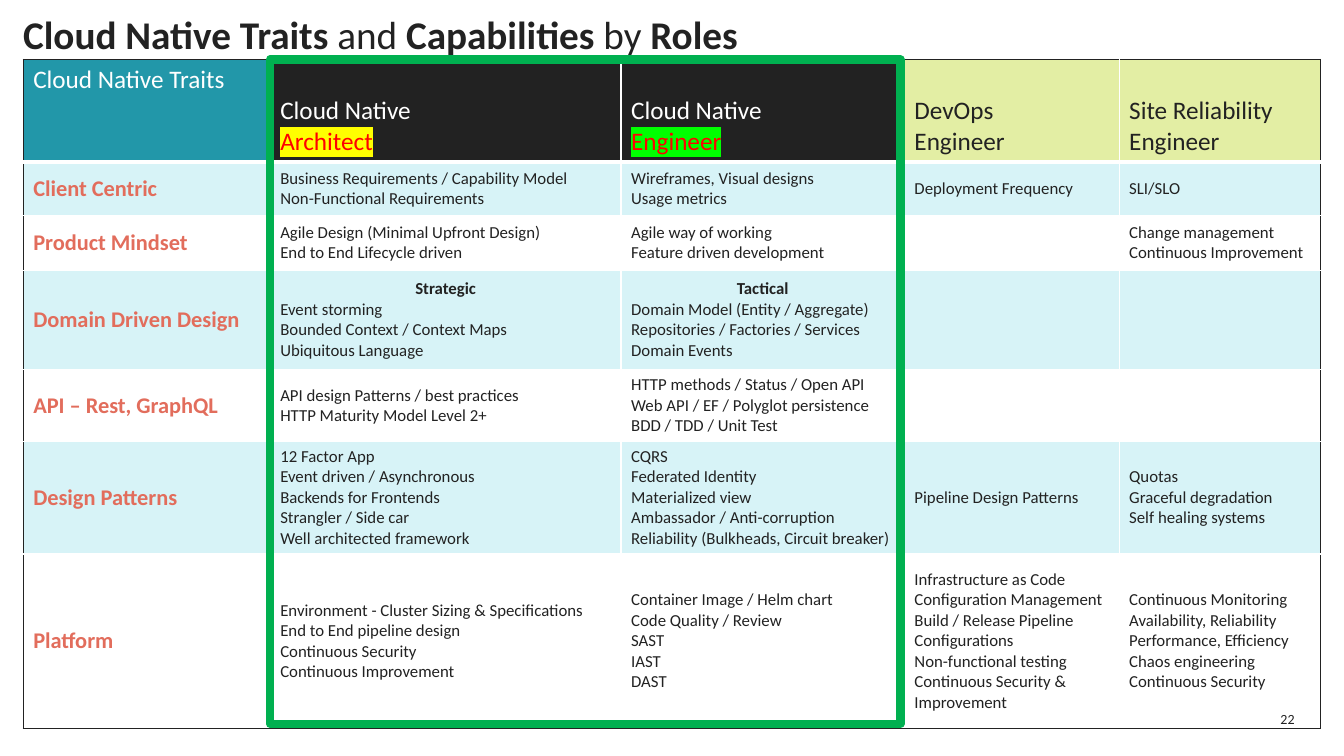
import pptx
import pptx.dml.color
import pptx.enum.shapes
import pptx.enum.text
import pptx.oxml.ns
import pptx.util
from lxml import etree
from pptx.util import Inches

TITLE = [("Cloud Native Traits ", True), ("and", False), (" Capabilities ", True),
         ("by", False), (" Roles", True)]
PAGE_NUMBER = "22"
CORNER = "Cloud Native Traits"
ROLES = [["Cloud Native", "Architect"], ["Cloud Native", "Engineer"],
         ["DevOps", "Engineer"], ["Site Reliability", "Engineer"]]
TRAITS = [
    ("Client Centric", [
        ["Business Requirements / Capability Model", "Non-Functional Requirements"],
        ["Wireframes, Visual designs", "Usage metrics"],
        ["Deployment Frequency"],
        ["SLI/SLO"]]),
    ("Product Mindset", [
        ["Agile Design (Minimal Upfront Design)", "End to End Lifecycle driven"],
        ["Agile way of working", "Feature driven development"],
        [],
        ["Change management", "Continuous Improvement"]]),
    ("Domain Driven Design", [
        ["Strategic", "Event storming", "Bounded Context / Context Maps",
         "Ubiquitous Language"],
        ["Tactical", "Domain Model (Entity / Aggregate)",
         "Repositories / Factories / Services", "Domain Events"],
        [],
        []]),
    ("API – Rest, GraphQL", [
        ["API design Patterns / best practices", "HTTP Maturity Model Level 2+"],
        ["HTTP methods / Status / Open API", "Web API / EF / Polyglot persistence",
         "BDD / TDD / Unit Test"],
        [],
        []]),
    ("Design Patterns", [
        ["12 Factor App", "Event driven / Asynchronous", "Backends for Frontends",
         "Strangler / Side car", "Well architected framework"],
        ["CQRS", "Federated Identity", "Materialized view",
         "Ambassador / Anti-corruption", "Reliability (Bulkheads, Circuit breaker)"],
        ["Pipeline Design Patterns"],
        ["Quotas", "Graceful degradation", "Self healing systems"]]),
    ("Platform", [
        ["Environment - Cluster Sizing & Specifications", "End to End pipeline design",
         "Continuous Security", "Continuous Improvement"],
        ["Container Image / Helm chart", "Code Quality / Review", "SAST", "IAST", "DAST"],
        ["Infrastructure as Code", "Configuration Management", "Build / Release Pipeline",
         "Configurations", "Non-functional testing", "Continuous Security & Improvement"],
        ["Continuous Monitoring", "Availability, Reliability", "Performance, Efficiency",
         "Chaos engineering", "Continuous Security"]]),
]
SUBHEADINGS = ("Strategic", "Tactical")
COLUMN_WIDTHS = [2.45, 3.48, 2.81, 2.13, 2.0]
ROW_HEIGHTS = [1.02, 0.53, 0.54, 0.99, 0.71, 1.11, 1.73]
TABLE_LEFT, TABLE_TOP = 0.23, 0.59
FRAME_HEIGHT = 6.59


class Theme:
    font = "Calibri"
    ink, white, coral = "222222", "FFFFFF", "E26D5C"
    teal, pale_blue, lime = "2297A9", "D7F3F7", "E3EEA4"
    red, frame = "FF0000", "00B050"
    highlights = {1: "FFFF00", 2: "00FF00"}
    title_size, header_size, trait_size, body_size, page_size = 28, 18, 16, 12, 10


ALIGN = pptx.enum.text.PP_ALIGN
ANCHOR = pptx.enum.text.MSO_ANCHOR


def rgb(value):
    return pptx.dml.color.RGBColor.from_string(value)


def add_span(para, text, size, color=Theme.ink, bold=False, highlight=None):
    span = para.add_run()
    span.text = text
    span.font.name = Theme.font
    span.font.size = pptx.util.Pt(size)
    span.font.bold = bold
    span.font.color.rgb = rgb(color)
    if highlight:
        marker = etree.Element(pptx.oxml.ns.qn("a:highlight"))
        etree.SubElement(marker, pptx.oxml.ns.qn("a:srgbClr"), val=highlight)
        span.font.fill  # the highlight has to follow the fill element
        span._r.rPr.find(pptx.oxml.ns.qn("a:solidFill")).addnext(marker)


def paragraphs(frame, lines):
    """Yield each line with its paragraph, reusing the first one of the frame."""
    for index, line in enumerate(lines):
        yield line, frame.add_paragraph() if index else frame.paragraphs[0]


def clear_margins(frame):
    frame.margin_left = frame.margin_right = frame.margin_top = frame.margin_bottom = 0
    frame.word_wrap = True
    frame.vertical_anchor = ANCHOR.MIDDLE


def set_borders(cell, row, column):
    """Dark lines around the table, white lines inside, a thick one below the header."""
    last_row, last_column = len(ROW_HEIGHTS) - 1, len(COLUMN_WIDTHS) - 1
    outer = {"lnL": column == 0, "lnR": column == last_column,
             "lnT": row == 0, "lnB": row == last_row}
    properties = cell._tc.get_or_add_tcPr()
    for position, (side, is_outer) in enumerate(outer.items()):
        points = 3 if side == "lnB" and row == 0 else 1
        line = etree.Element(pptx.oxml.ns.qn("a:" + side), w=str(pptx.util.Pt(points)))
        fill = etree.SubElement(line, pptx.oxml.ns.qn("a:solidFill"))
        etree.SubElement(fill, pptx.oxml.ns.qn("a:srgbClr"),
                         val=Theme.ink if is_outer else Theme.white)
        properties.insert(position, line)


def set_fill(cell, color):
    cell.fill.solid()
    cell.fill.fore_color.rgb = rgb(color)


def fill_header(table):
    corner = table.cell(0, 0)
    set_fill(corner, Theme.teal)
    add_span(corner.text_frame.paragraphs[0], CORNER, Theme.header_size, Theme.white)
    for column, role in enumerate(ROLES, 1):
        cell = table.cell(0, column)
        cell.vertical_anchor = ANCHOR.BOTTOM
        highlight = Theme.highlights.get(column)
        set_fill(cell, Theme.ink if highlight else Theme.lime)
        colors = (Theme.white, Theme.red) if highlight else (Theme.ink, Theme.ink)
        marks = (None, highlight)
        lines = zip(role, colors, marks)
        for (text, color, mark), para in paragraphs(cell.text_frame, lines):
            add_span(para, text, Theme.header_size, color, highlight=mark)


def fill_traits(table):
    for row, (trait, capabilities) in enumerate(TRAITS, 1):
        for column, lines in enumerate([[trait]] + capabilities):
            cell = table.cell(row, column)
            cell.vertical_anchor = ANCHOR.MIDDLE
            set_fill(cell, Theme.pale_blue if row % 2 else Theme.white)
            for text, para in paragraphs(cell.text_frame, lines):
                if column == 0:
                    add_span(para, text, Theme.trait_size, Theme.coral, True)
                    continue
                is_subheading = text in SUBHEADINGS
                para.alignment = ALIGN.CENTER if is_subheading else ALIGN.LEFT
                add_span(para, text, Theme.body_size, bold=is_subheading)


def add_title(page):
    title = page.shapes.title
    title.left, title.top = Inches(TABLE_LEFT), Inches(0.09)
    title.width, title.height = Inches(8.29), Inches(0.5)
    clear_margins(title.text_frame)
    para = title.text_frame.paragraphs[0]
    para.alignment = ALIGN.LEFT
    for text, bold in TITLE:
        add_span(para, text, Theme.title_size, bold=bold)


def add_traits_table(page):
    table = page.shapes.add_table(
        len(ROW_HEIGHTS), len(COLUMN_WIDTHS), Inches(TABLE_LEFT), Inches(TABLE_TOP),
        Inches(sum(COLUMN_WIDTHS)), Inches(sum(ROW_HEIGHTS))).table
    table.first_row = table.horz_banding = False
    for column, width in zip(table.columns, COLUMN_WIDTHS):
        column.width = Inches(width)
    for row, height in zip(table.rows, ROW_HEIGHTS):
        row.height = Inches(height)
    fill_header(table)
    fill_traits(table)
    for row in range(len(ROW_HEIGHTS)):
        for column in range(len(COLUMN_WIDTHS)):
            set_borders(table.cell(row, column), row, column)


def add_role_frame(page):
    """Outline the two cloud native roles."""
    frame = page.shapes.add_shape(
        pptx.enum.shapes.MSO_SHAPE.RECTANGLE,
        Inches(TABLE_LEFT + COLUMN_WIDTHS[0]), Inches(TABLE_TOP),
        Inches(sum(COLUMN_WIDTHS[1:3]) - 0.04), Inches(FRAME_HEIGHT))
    frame.shadow.inherit = False
    frame.fill.background()
    frame.line.color.rgb = rgb(Theme.frame)
    frame.line.width = pptx.util.Pt(6)


def add_page_number(page):
    box = page.shapes.add_textbox(Inches(12.57), Inches(7.01), Inches(0.27), Inches(0.24))
    clear_margins(box.text_frame)
    para = box.text_frame.paragraphs[0]
    para.alignment = ALIGN.RIGHT
    add_span(para, PAGE_NUMBER, Theme.page_size)


def main():
    deck = pptx.Presentation()
    deck.slide_width, deck.slide_height = Inches(13.33), Inches(7.5)
    page = deck.slides.add_slide(deck.slide_layouts.get_by_name("Title Only"))
    add_title(page)
    add_traits_table(page)
    add_role_frame(page)
    add_page_number(page)
    deck.save("out.pptx")


if __name__ == "__main__":
    main()
